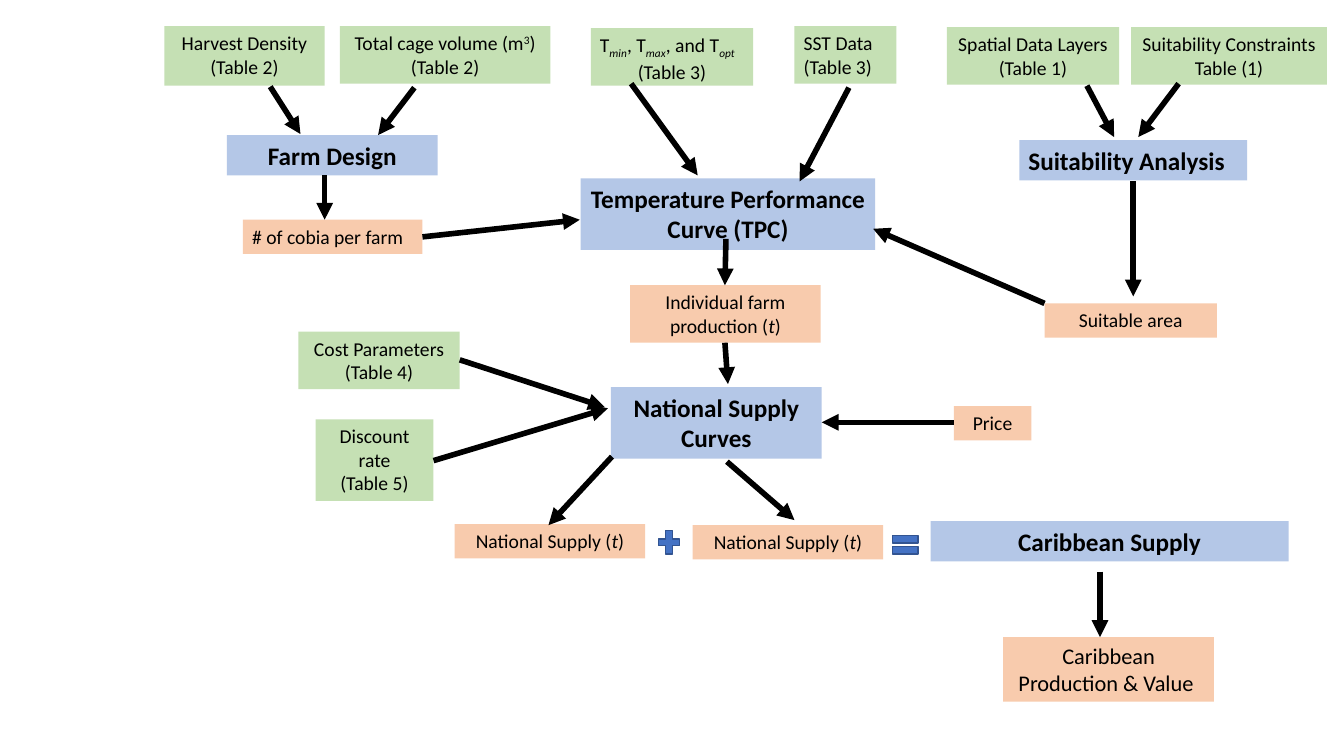
from dataclasses import dataclass

from lxml import etree
from pptx import Presentation
from pptx.dml.color import RGBColor
from pptx.enum.shapes import MSO_CONNECTOR, MSO_SHAPE
from pptx.enum.text import MSO_ANCHOR, PP_ALIGN
from pptx.oxml.ns import qn
from pptx.util import Inches, Pt

RECTANGLE = MSO_SHAPE.RECTANGLE
PLUS = MSO_SHAPE.MATH_PLUS
EQUAL = MSO_SHAPE.MATH_EQUAL
STRAIGHT = MSO_CONNECTOR.STRAIGHT
TOP = MSO_ANCHOR.TOP
LEFT, CENTER = PP_ALIGN.LEFT, PP_ALIGN.CENTER

COLORS = {
    "input": "C5E0B4",
    "process": "B4C7E7",
    "output": "F8CBAD",
    "operator": "4472C4",
    "operator_line": "325491",
    "ink": "000000",
}
FONT = "Calibri"
SIZES = {"input": 14, "process": 18, "output": 14}


@dataclass(frozen=True)
class Run:
    text: str
    italic: bool = False
    baseline: int = 0


@dataclass(frozen=True)
class Line:
    runs: tuple[Run, ...]
    align: PP_ALIGN = CENTER


@dataclass(frozen=True)
class Box:
    role: str
    left: float
    top: float
    width: float
    height: float
    lines: tuple[Line, ...]
    size: int = 0


@dataclass(frozen=True)
class Arrow:
    start: tuple[float, float]
    end: tuple[float, float]


@dataclass(frozen=True)
class Operator:
    kind: MSO_SHAPE
    left: float
    top: float
    width: float
    height: float


def plain(*texts: str, align: PP_ALIGN = CENTER) -> tuple[Line, ...]:
    return tuple(Line((Run(text),), align) for text in texts)


def in_tonnes(label: str) -> tuple[Line, ...]:
    return (Line((Run(f"{label} ("), Run("t", italic=True), Run(")"))),)


def subscript(text: str) -> Run:
    return Run(text, italic=True, baseline=-25)


CAGE_VOLUME = (
    Line((Run("Total cage volume (m"), Run("3", baseline=30), Run(")"))),
    *plain("(Table 2)"),
)
TEMPERATURE_LIMITS = (
    Line(
        (Run("T"), subscript("min"), Run(", T"), subscript("max"),
         Run(", and T"), subscript("opt")),
        LEFT,
    ),
    *plain("(Table 3)"),
)

BOXES = (
    Box("process", 10.11, 1.39, 2.26, 0.4, plain("Suitability Analysis", align=LEFT)),
    Box("input", 9.39, 0.27, 1.71, 0.57, plain("Spatial Data Layers", "(Table 1)")),
    Box("input", 11.22, 0.27, 1.94, 0.57, plain("Suitability Constraints", "Table (1)")),
    Box("output", 10.36, 3.01, 1.71, 0.34, plain("Suitable area")),
    Box("process", 2.25, 1.34, 2.09, 0.4, plain("Farm Design")),
    Box("input", 1.63, 0.26, 1.59, 0.59, plain("Harvest Density", "(Table 2)")),
    Box("input", 3.37, 0.26, 2.09, 0.57, CAGE_VOLUME),
    Box("output", 2.41, 2.18, 1.78, 0.34, plain("# of cobia per farm", align=LEFT)),
    Box("process", 5.76, 1.77, 2.92, 0.71, plain("Temperature Performance Curve (TPC)")),
    Box("input", 5.86, 0.28, 1.61, 0.57, TEMPERATURE_LIMITS),
    Box("process", 6.06, 3.84, 2.09, 0.71, plain("National Supply Curves")),
    Box("output", 9.46, 4.03, 0.77, 0.34, plain("Price")),
    Box("output", 6.25, 2.83, 1.89, 0.57, in_tonnes("Individual farm production")),
    Box("input", 7.88, 0.26, 1.01, 0.57, plain("SST Data", "(Table 3)", align=LEFT)),
    Box("input", 2.96, 3.29, 1.6, 0.57, plain("Cost Parameters", "(Table 4)")),
    Box("process", 9.23, 5.17, 3.55, 0.4, plain("Caribbean Supply")),
    Box("input", 3.13, 4.16, 1.17, 0.81, plain("Discount", "rate", "(Table 5)")),
    Box("output", 9.95, 6.32, 2.09, 0.64, plain("Caribbean Production & Value "), 16),
    Box("output", 4.51, 5.2, 1.89, 0.34, in_tonnes("National Supply")),
    Box("output", 6.87, 5.21, 1.89, 0.34, in_tonnes("National Supply")),
)

ARROWS = (
    Arrow((10.78, 0.85), (11.05, 1.36)),
    Arrow((11.69, 0.83), (11.29, 1.36)),
    Arrow((4.11, 0.87), (3.75, 1.34)),
    Arrow((2.68, 0.86), (2.98, 1.33)),
    Arrow((6.26, 0.83), (6.92, 1.74)),
    Arrow((8.42, 0.87), (7.93, 1.8)),
    Arrow((4.19, 2.35), (5.75, 2.18)),
    Arrow((7.2, 2.37), (7.19, 2.83)),
    Arrow((7.19, 3.4), (7.22, 3.81)),
    Arrow((9.46, 4.19), (8.15, 4.19)),
    Arrow((10.91, 5.67), (10.91, 6.32)),
    Arrow((4.56, 3.57), (6, 4.04)),
    Arrow((4.3, 4.57), (6.03, 4.05)),
    Arrow((11.24, 1.8), (11.24, 2.94)),
    Arrow((3.22, 1.74), (3.22, 2.18)),
    Arrow((10.36, 3.01), (8.66, 2.27)),
    Arrow((6.07, 4.53), (5.44, 5.21)),
    Arrow((7.21, 4.58), (7.88, 5.16)),
)

OPERATORS = (
    Operator(PLUS, 6.49, 5.22, 0.29, 0.32),
    Operator(EQUAL, 8.81, 5.25, 0.34, 0.31),
)


def color(name: str) -> RGBColor:
    return RGBColor.from_string(COLORS[name])


def add_filled(slide, kind: MSO_SHAPE, item: Box | Operator, fill: str):
    place = (item.left, item.top, item.width, item.height)
    shape = slide.shapes.add_shape(kind, *map(Inches, place))
    shape.shadow.inherit = False
    shape.fill.solid()
    shape.fill.fore_color.rgb = color(fill)
    return shape


def add_box(slide, box: Box) -> None:
    shape = add_filled(slide, RECTANGLE, box, box.role)
    shape.line.fill.background()
    frame = shape.text_frame
    frame.word_wrap = True
    frame.vertical_anchor = TOP
    frame.margin_left = frame.margin_right = Inches(0.09)
    for index, line in enumerate(box.lines):
        paragraph = frame.add_paragraph() if index else frame.paragraphs[0]
        paragraph.alignment = line.align
        for part in line.runs:
            run = paragraph.add_run()
            run.text = part.text
            run.font.name = FONT
            run.font.size = Pt(box.size or SIZES[box.role])
            run.font.bold = box.role == "process"
            run.font.italic = part.italic
            run.font.color.rgb = color("ink")
            if part.baseline:
                run._r.get_or_add_rPr().set("baseline", str(part.baseline * 1000))


def add_arrow(slide, arrow: Arrow) -> None:
    points = map(Inches, (*arrow.start, *arrow.end))
    connector = slide.shapes.add_connector(STRAIGHT, *points)
    connector.line.color.rgb = color("ink")
    connector.line.width = Pt(4)
    etree.SubElement(connector.line._get_or_add_ln(), qn("a:tailEnd"), type="triangle")
    etree.SubElement(connector._element.spPr, qn("a:effectLst"))


def add_operator(slide, operator: Operator) -> None:
    shape = add_filled(slide, operator.kind, operator, "operator")
    shape.line.color.rgb = color("operator_line")
    shape.line.width = Pt(1)


presentation = Presentation()
presentation.slide_width = Inches(13.33)
presentation.slide_height = Inches(7.5)
slide = presentation.slides.add_slide(presentation.slide_layouts[6])
for box in BOXES:
    add_box(slide, box)
for arrow in ARROWS:
    add_arrow(slide, arrow)
for operator in OPERATORS:
    add_operator(slide, operator)
presentation.save("out.pptx")
